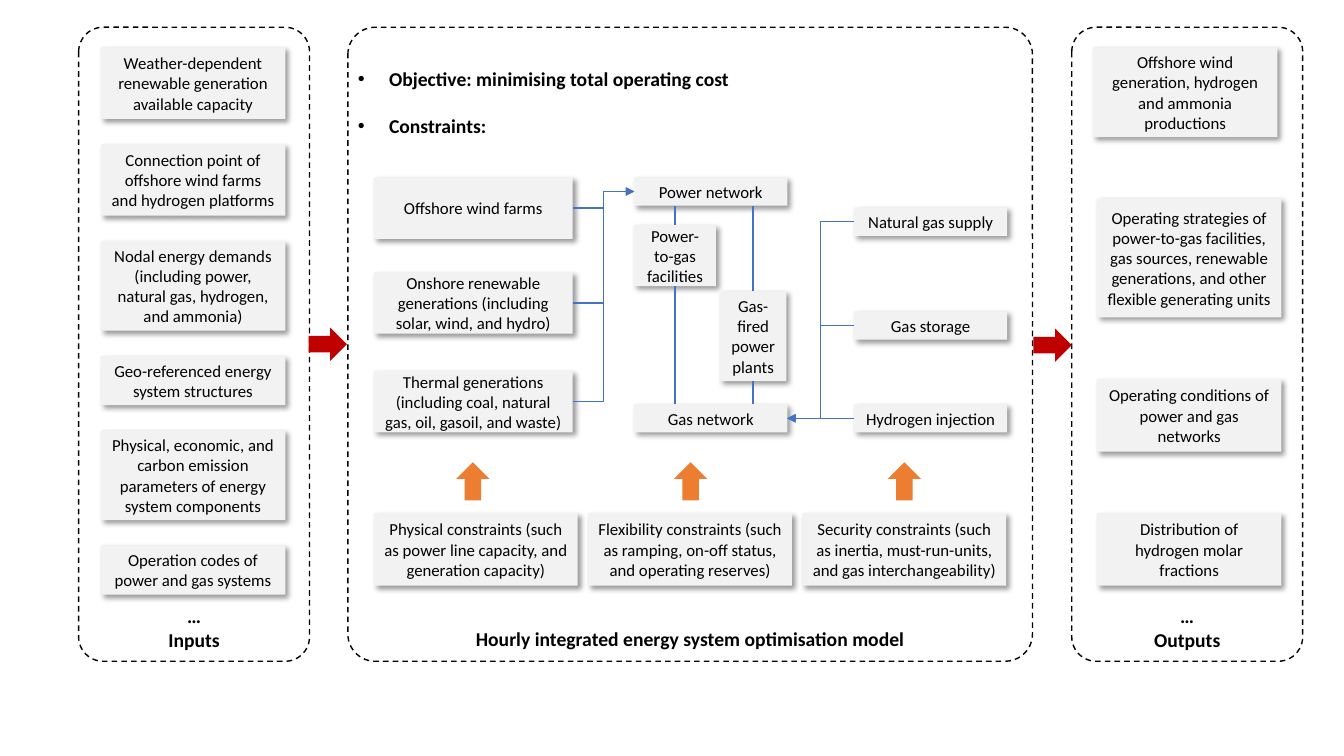
from lxml import etree
from pptx import Presentation, util as u
from pptx.dml.color import RGBColor
from pptx.enum import dml, shapes, text
from pptx.oxml import parse_xml
from pptx.oxml.ns import qn

NS = 'xmlns:a="http://schemas.openxmlformats.org/drawingml/2006/main"'
SHADOW = (f'<a:outerShdw {NS} blurRad="50800" dist="38100" dir="2700000" algn="tl" rotWithShape="0">'
          '<a:srgbClr val="000000"><a:alpha val="40000"/></a:srgbClr></a:outerShdw>')
MSO = shapes.MSO_SHAPE
CONN = shapes.MSO_CONNECTOR


def rgb(value):
    return RGBColor.from_string(value)


def write(sp, lines, size=12, bold=False, align="CENTER", anchor="MIDDLE", bullet=False, before=0):
    tf = sp.text_frame
    tf.word_wrap = True
    tf.vertical_anchor = getattr(text.MSO_ANCHOR, anchor)
    for i, line in enumerate(lines):
        p = tf.paragraphs[0] if i == 0 else tf.add_paragraph()
        if bullet:
            pPr = p._p.get_or_add_pPr()
            pPr.set("marL", str(u.Inches(0.31)))
            pPr.set("indent", str(u.Inches(-0.31)))
            etree.SubElement(pPr, qn("a:buFont")).set("typeface", "Arial")
            etree.SubElement(pPr, qn("a:buChar")).set("char", "•")
        p.alignment = getattr(text.PP_ALIGN, align)
        if i and before:
            p.space_before = u.Pt(before)
        r = p.add_run()
        r.text = line
        r.font.name, r.font.size, r.font.bold = "Calibri", u.Pt(size), bold
        r.font.color.rgb = rgb("000000")


prs = Presentation()
prs.slide_width, prs.slide_height = u.Inches(13.33), u.Inches(7.5)
s = prs.slides.add_slide(prs.slide_layouts[6])

boxes = []
y = 0.47
for h, label in [
    (0.71, "Weather-dependent renewable generation available capacity"),
    (0.71, "Connection point of offshore wind farms and hydrogen platforms"),
    (0.89, "Nodal energy demands (including power, natural gas, hydrogen, and ammonia)"),
    (0.49, "Geo-referenced energy system structures"),
    (0.89, "Physical, economic, and carbon emission parameters of energy system components"),
    (0.49, "Operation codes of power and gas systems"),
]:
    boxes.append((1, y, 1.83, h, label))
    y += h + 0.25

boxes += [
    (10.84, 0.47, 1.83, 0.89, "Offshore wind generation, hydrogen and ammonia productions"),
    (10.88, 1.97, 1.83, 1.18, "Operating strategies of power-to-gas facilities, gas sources, "
                              "renewable generations, and other flexible generating units"),
    (10.88, 3.76, 1.83, 0.72, "Operating conditions of power and gas networks"),
    (10.88, 5.09, 1.83, 0.72, "Distribution of hydrogen molar fractions"),
    (3.71, 1.76, 1.97, 0.61, "Offshore wind farms"),
    (3.71, 2.7, 1.97, 0.61, "Onshore renewable generations (including solar, wind, and hydro)"),
    (3.71, 3.68, 1.97, 0.61, "Thermal generations (including coal, natural gas, oil, gasoil, and waste)"),
    (6.29, 1.76, 1.52, 0.28, "Power network"),
    (6.29, 4.01, 1.52, 0.28, "Gas network"),
    (6.29, 2.23, 0.81, 0.61, "Power-to-gas facilities"),
    (7.14, 2.89, 0.66, 0.89, "Gas-fired power plants"),
    (8.47, 2.06, 1.52, 0.28, "Natural gas supply"),
    (8.47, 3.09, 1.52, 0.28, "Gas storage"),
    (8.47, 4.01, 1.52, 0.28, "Hydrogen injection"),
]
for i, label in enumerate([
    "Physical constraints (such as power line capacity, and generation capacity)",
    "Flexibility constraints (such as ramping, on-off status, and operating reserves)",
    "Security constraints (such as inertia, must-run-units, and gas interchangeability)",
]):
    boxes.append((3.71 + 2.125 * i, 5.09, 2.02, 0.72, label))

nodes = {}
for x, y, w, h, label in boxes:
    sp = s.shapes.add_shape(MSO.RECTANGLE, *map(u.Inches, (x, y, w, h)))
    sp.fill.solid()
    sp.fill.fore_color.rgb = rgb("F2F2F2")
    sp.line.fill.background()
    sp.shadow.inherit = False
    sp._element.spPr.find(qn("a:effectLst")).append(parse_xml(SHADOW))
    write(sp, [label])
    nodes[label.split(" (")[0]] = sp

for x, w, radius, caption in [
    (0.78, 2.29, 0.106, ["…", "Inputs"]),
    (3.45, 6.79, 0.043, ["Hourly integrated energy system optimisation model"]),
    (10.63, 2.29, 0.106, ["…", "Outputs"]),
]:
    sp = s.shapes.add_shape(MSO.ROUNDED_RECTANGLE, *map(u.Inches, (x, 0.27, w, 6.29)))
    sp.adjustments[0] = radius
    sp.shadow.inherit = False
    sp.fill.background()
    sp.line.color.rgb = rgb("000000")
    sp.line.width = u.Pt(1)
    sp.line.dash_style = dml.MSO_LINE.DASH
    sp.text_frame.margin_bottom = u.Inches(0.03)
    write(sp, caption, size=14, bold=True, anchor="BOTTOM")

links = []
for name in ["Power-to-gas facilities", "Gas-fired power plants"]:
    for side, end_y in [(0, 2.04), (2, 4.01)]:
        c = s.shapes.add_connector(CONN.STRAIGHT, 0, 0, 0, 0)
        c.begin_connect(nodes[name], side)
        c.end_x, c.end_y = c.begin_x, u.Inches(end_y)
        links.append((c, False))

for target, end_side, sources in [
    ("Power network", 1, ["Offshore wind farms", "Onshore renewable generations", "Thermal generations"]),
    ("Gas network", 3, ["Hydrogen injection", "Gas storage", "Natural gas supply"]),
]:
    for name in sources:
        c = s.shapes.add_connector(CONN.ELBOW, 0, 0, 0, 0)
        c.begin_connect(nodes[name], 4 - end_side)
        c.end_connect(nodes[target], end_side)
        links.append((c, True))

for c, arrow in links:
    c.line.color.rgb = rgb("4472C4")
    c.line.width = u.Pt(1)
    if arrow:
        etree.SubElement(c.line._get_or_add_ln(), qn("a:tailEnd")).set("type", "triangle")
    etree.SubElement(c._element.spPr, qn("a:effectLst"))

for x, y, angle, color in [
    (4.5, 4.61, 270, "ED7D31"),
    (6.66, 4.61, 270, "ED7D31"),
    (8.78, 4.61, 270, "ED7D31"),
    (3.06, 3.25, 0, "C00000"),
    (10.25, 3.26, 0, "C00000"),
]:
    sp = s.shapes.add_shape(MSO.RIGHT_ARROW, *map(u.Inches, (x, y, 0.38, 0.33)))
    sp.rotation = angle
    sp.shadow.inherit = False
    sp.fill.solid()
    sp.fill.fore_color.rgb = rgb(color)
    sp.line.fill.background()

tb = s.shapes.add_textbox(*map(u.Inches, (3.45, 0.61, 4.28, 0.81)))
write(tb, ["Objective: minimising total operating cost", "Constraints:"],
      size=14, bold=True, align="LEFT", anchor="TOP", bullet=True, before=17)

prs.save("out.pptx")
